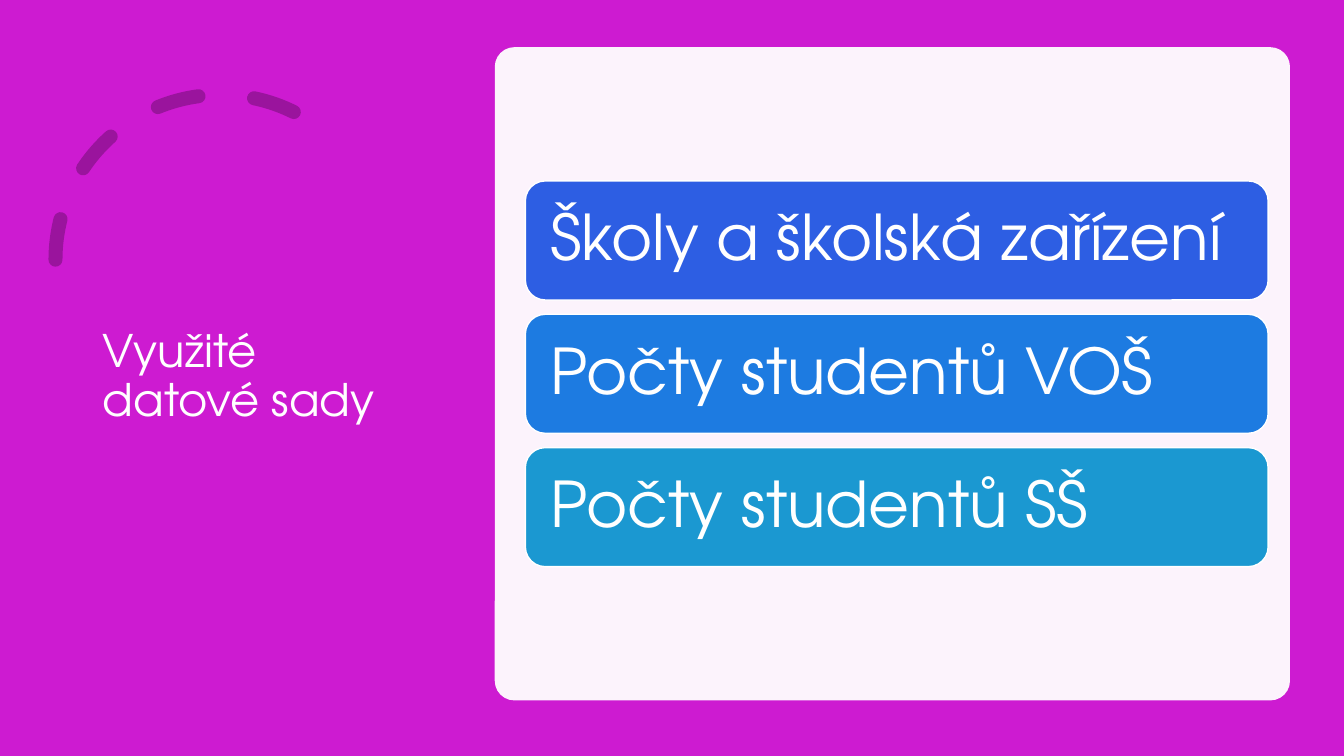
from pptx import Presentation
from pptx.dml.color import RGBColor
from pptx.enum.dml import MSO_LINE
from pptx.enum.shapes import MSO_SHAPE as Shape
from pptx.enum.text import MSO_ANCHOR as Anchor, PP_ALIGN as Align
from pptx.oxml.ns import qn
from pptx.util import Cm, Pt
from lxml.etree import SubElement

FONT = "TeX Gyre Adventor"
WHITE = RGBColor(0xFF, 0xFF, 0xFF)
MAGENTA = RGBColor(0xCD, 0x1B, 0xD1)
PLUM = RGBColor(0x9A, 0x14, 0x9D)
DATASETS = [
    ("Školy a školská zařízení", RGBColor(0x2D, 0x5E, 0xE3)),
    ("Počty studentů VOŠ", RGBColor(0x1D, 0x7B, 0xE1)),
    ("Počty studentů SŠ", RGBColor(0x1B, 0x98, 0xD1)),
]


def add_rounded(page, left, top, width, height, color):
    box = page.shapes.add_shape(Shape.ROUNDED_RECTANGLE,
                                Cm(left), Cm(top), Cm(width), Cm(height))
    box.shadow.inherit = False
    box.fill.solid()
    box.fill.fore_color.rgb = color
    return box


def write(box, text, size, inset):
    frame = box.text_frame
    frame.text = text
    frame.word_wrap = True
    frame.vertical_anchor = Anchor.MIDDLE
    frame.margin_left = frame.margin_right = Cm(inset)
    frame.margin_top = frame.margin_bottom = Cm(inset)
    para = frame.paragraphs[0]
    para.alignment = Align.LEFT
    para.line_spacing = 0.9
    font = para.runs[0].font
    font.name, font.size, font.color.rgb = FONT, Pt(size), WHITE


def add_title_side(page, left, top, width, height):
    # Dashed arc, mirrored so that it opens to the right
    arc = page.shapes.add_shape(Shape.ARC, Cm(left), Cm(top + 1.2), Cm(8.31), Cm(8.31))
    arc.shadow.inherit = False
    arc.adjustments[0] = 146.13
    arc.adjustments[1] = 0
    arc.fill.background()
    arc.line.color.rgb = PLUM
    arc.line.width = Pt(10)
    arc.line.dash_style = MSO_LINE.DASH
    properties = arc._element.spPr
    properties.find(qn("a:xfrm")).set("flipH", "1")
    properties.find(qn("a:ln")).set("cap", "rnd")

    # Title
    title = page.shapes.add_textbox(Cm(left + 0.94), Cm(top + 0.59),
                                    Cm(width - 0.94), Cm(height - 0.99))
    write(title, "Využité datové sady", 32, 0.25)


def add_dataset_panel(page, left, top, width, height):
    # Translucent panel
    panel = add_rounded(page, left, top, width, height, WHITE)
    panel.adjustments[0] = 0.03
    panel.line.fill.background()
    color = panel._element.spPr.find(qn("a:solidFill"))[0]
    SubElement(color, qn("a:alpha")).set("val", "95000")

    # Dataset bars, centred vertically
    bar_height, pitch = 3, 3.36
    stack = pitch * (len(DATASETS) - 1) + bar_height
    first = top + (height - stack) / 2
    for index, (name, color) in enumerate(DATASETS):
        bar = add_rounded(page, left + 0.77, first + index * pitch,
                          width - 1.32, bar_height, color)
        bar.line.color.rgb = WHITE
        bar.line.width = Pt(1)
        write(bar, name, 45, 0.48)


deck = Presentation()
deck.slide_width, deck.slide_height = Cm(33.87), Cm(19.05)
page = deck.slides.add_slide(deck.slide_layouts[6])
page.background.fill.solid()
page.background.fill.fore_color.rgb = MAGENTA
add_title_side(page, 1.4, 1.19, 9.14, 16.46)
add_dataset_panel(page, 12.47, 1.19, 20.04, 16.46)
deck.save("out.pptx")
